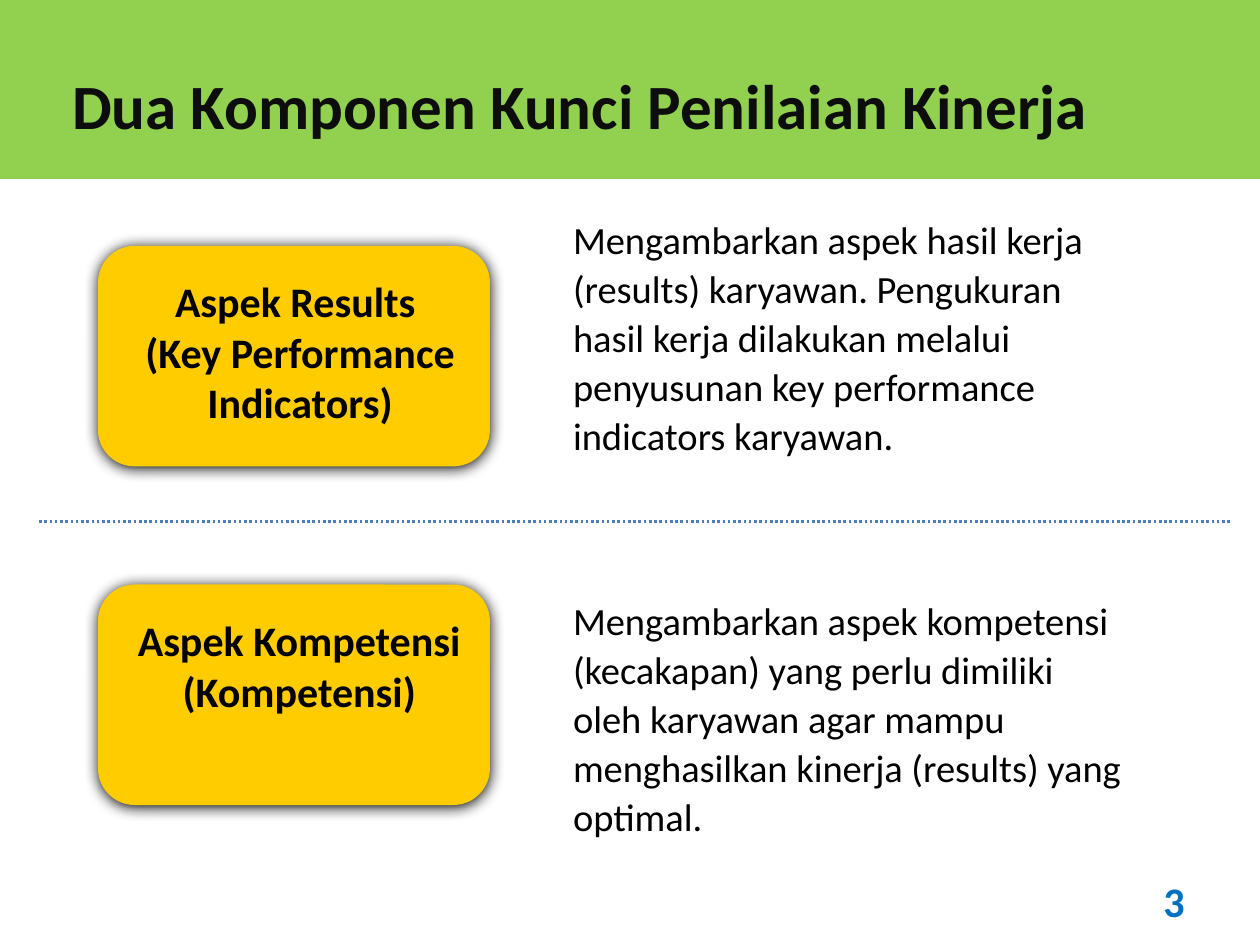
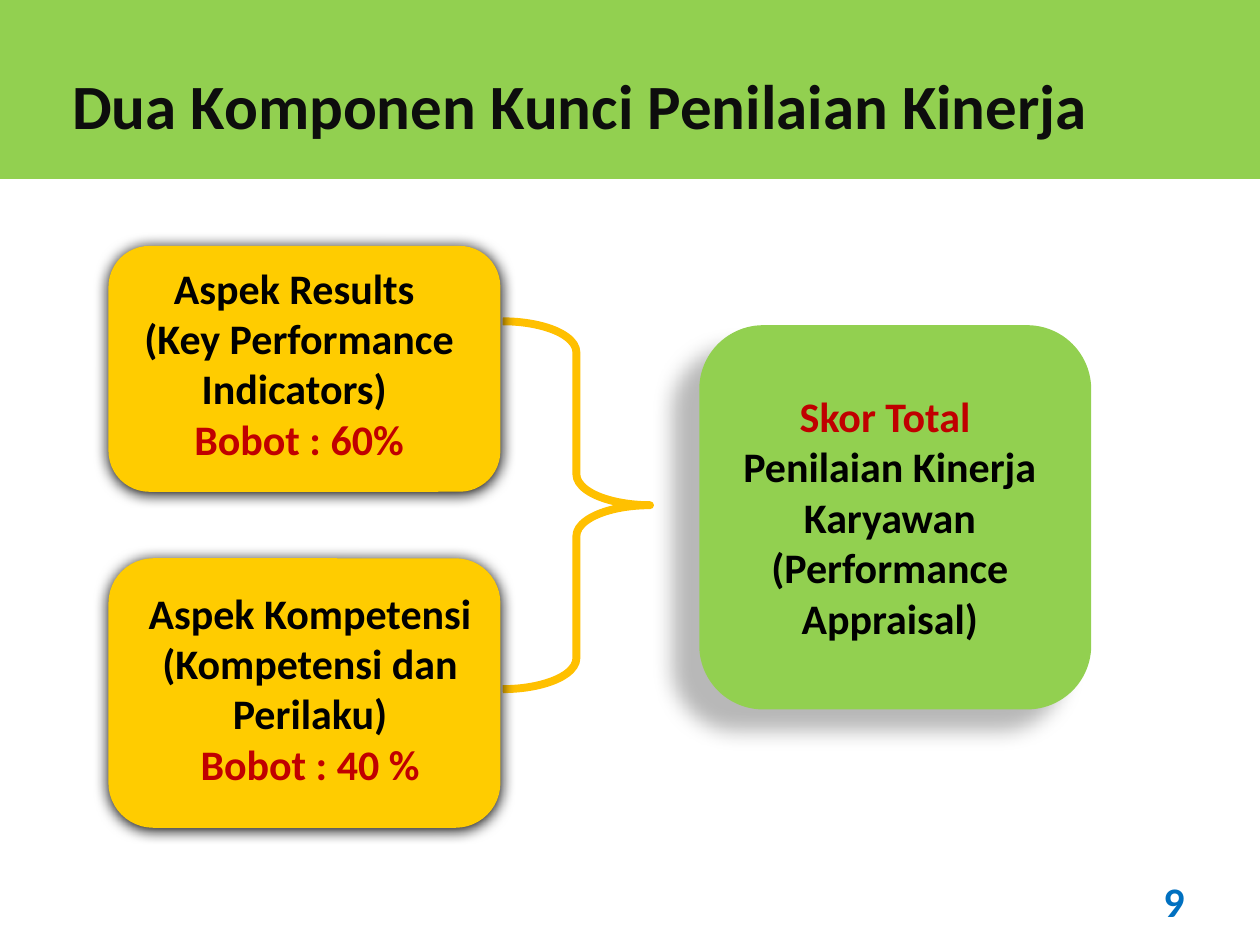
from lxml.etree import SubElement
from pptx import Presentation
from pptx.dml.color import RGBColor
from pptx.enum.dml import MSO_LINE
from pptx.enum.shapes import MSO_CONNECTOR, MSO_SHAPE
from pptx.enum.text import MSO_ANCHOR, MSO_AUTO_SIZE, PP_ALIGN
from pptx.oxml.ns import qn
from pptx.util import Pt

GREEN = RGBColor(0x92, 0xD0, 0x50)
YELLOW = RGBColor(0xFF, 0xCC, 0x00)
AMBER = RGBColor(0xFF, 0xC0, 0x00)
RED = RGBColor(0xC0, 0x00, 0x00)
BLUE = RGBColor(0x00, 0x70, 0xC0)
RULE = RGBColor(0x4B, 0x7E, 0xBC)
BLACK = RGBColor(0x00, 0x00, 0x00)
DARK = RGBColor(0x0D, 0x0D, 0x0D)

TITLE = "Dua Komponen Kunci Penilaian Kinerja"
LABEL = {"name": "Calibri", "size": Pt(24), "bold": True}
HEADING = {"name": "Calibri", "size": Pt(36), "bold": True}
BODY = {"name": "Calibri", "size": Pt(22), "bold": False}
CENTER = {"alignment": PP_ALIGN.CENTER}
GROW = {"word_wrap": True, "auto_size": MSO_AUTO_SIZE.SHAPE_TO_FIT_TEXT}
SOFT = {"blur": 8.5, "dist": 1, "angle": 90, "alpha": 100}
DEEP = {"blur": 11.8, "dist": 19.7, "angle": 141, "alpha": 28}


def write(sp, lines, font, para, frame=GROW):
    tf = sp.text_frame
    for key, value in frame.items():
        setattr(tf, key, value)
    for i, (text, color) in enumerate(lines):
        p = tf.add_paragraph() if i else tf.paragraphs[0]
        for key, value in para.items():
            setattr(p, key, value)
        r = p.add_run()
        r.text = text
        for key, value in font.items():
            setattr(r.font, key, value)
        r.font.color.rgb = color


def add_card(s, box, fill, shadow):
    sp = s.shapes.add_shape(MSO_SHAPE.ROUNDED_RECTANGLE, *map(Pt, box))
    sp.fill.solid()
    sp.fill.fore_color.rgb = fill
    sp.line.fill.background()
    sp.shadow.inherit = False
    effects = sp._element.spPr.find(qn("a:effectLst"))
    outer = SubElement(effects, qn("a:outerShdw"), blurRad=str(Pt(shadow["blur"])),
                       dist=str(Pt(shadow["dist"])), dir=str(shadow["angle"] * 60000),
                       algn="ctr", rotWithShape="0")
    color = SubElement(outer, qn("a:srgbClr"), val=str(BLACK))
    SubElement(color, qn("a:alpha"), val=str(shadow["alpha"] * 1000))


prs = Presentation()
prs.slide_width, prs.slide_height = Pt(720), Pt(540)

slides = []
for number in ("3", "9"):
    s = prs.slides.add_slide(prs.slide_layouts[5])
    slides.append(s)
    band = s.shapes.add_shape(MSO_SHAPE.RECTANGLE, 0, 0, Pt(720), Pt(101.5))
    band.fill.solid()
    band.fill.fore_color.rgb = GREEN
    band.line.color.rgb = GREEN
    band.line.width = Pt(2)
    band.shadow.inherit = False
    s.shapes._spTree.insert(2, band._element)

    title = s.shapes.title
    title.left, title.top, title.width, title.height = map(Pt, (34, 28, 610, 55))
    write(title, [(TITLE, DARK)], HEADING,
          {"alignment": PP_ALIGN.LEFT, "line_spacing": 1.15},
          {**GROW, "word_wrap": False, "vertical_anchor": MSO_ANCHOR.TOP})

    sp = s.shapes.add_textbox(Pt(516), Pt(500.5), Pt(168), Pt(28.8))
    write(sp, [(number, BLUE)], LABEL, {"alignment": PP_ALIGN.RIGHT},
          {"word_wrap": True, "vertical_anchor": MSO_ANCHOR.MIDDLE})

components, scoring = slides

rows = [
    (140.5, (51, 154, 241, 94), ["Aspek Results ", "(Key Performance Indicators)"], 118,
     "Mengambarkan aspek hasil kerja (results) karyawan. Pengukuran hasil kerja "
     "dilakukan melalui penyusunan key performance indicators karyawan."),
    (334, (50.5, 347.8, 241, 65.5), ["Aspek Kompetensi", "(Kompetensi)"], 336.2,
     "Mengambarkan aspek kompetensi (kecakapan) yang perlu dimiliki oleh karyawan "
     "agar mampu menghasilkan kinerja (results) yang optimal."),
]
for card_top, label_box, label, text_top, description in rows:
    add_card(components, (56, card_top, 224, 126), YELLOW, SOFT)
    sp = components.shapes.add_textbox(*map(Pt, label_box))
    write(sp, [(line, BLACK) for line in label], LABEL, CENTER)
    sp = components.shapes.add_textbox(Pt(320.4), Pt(text_top), Pt(332), Pt(147.6))
    write(sp, [(description, BLACK)], BODY, {"line_spacing": Pt(28)})

divider = components.shapes.add_connector(
    MSO_CONNECTOR.STRAIGHT, Pt(22.3), Pt(298), Pt(703.4), Pt(298))
divider.line.color.rgb = RULE
divider.line.width = Pt(1.5)
divider.line.dash_style = MSO_LINE.ROUND_DOT
SubElement(divider._element.spPr, qn("a:effectLst"))

brace = scoring.shapes.add_shape(
    MSO_SHAPE.RIGHT_BRACE, Pt(287.3), Pt(183.6), Pt(84.2), Pt(210.2))
brace.adjustments[0] = 0.21
brace.fill.background()
brace.line.color.rgb = AMBER
brace.line.width = Pt(4.5)
brace.shadow.inherit = False

scores = [
    ((62, 140.5, 224, 140.5), YELLOW, SOFT, (50.4, 146.2, 241, 124),
     [("Aspek Results ", BLACK), ("(Key Performance Indicators) ", BLACK),
      ("Bobot : 60%", RED)]),
    ((62, 319, 224, 154), YELLOW, SOFT, (56.7, 332, 241, 124),
     [("Aspek Kompetensi", BLACK), ("(Kompetensi dan Perilaku)", BLACK),
      ("Bobot : 40 %", RED)]),
    ((399.6, 185.8, 224, 219.6), GREEN, DEEP, (388, 219.6, 241, 152.6),
     [("Skor Total ", RED),
      ("Penilaian Kinerja Karyawan (Performance Appraisal)", BLACK)]),
]
for card_box, fill, shadow, label_box, lines in scores:
    add_card(scoring, card_box, fill, shadow)
    sp = scoring.shapes.add_textbox(*map(Pt, label_box))
    write(sp, lines, LABEL, CENTER)

prs.save("out.pptx")
